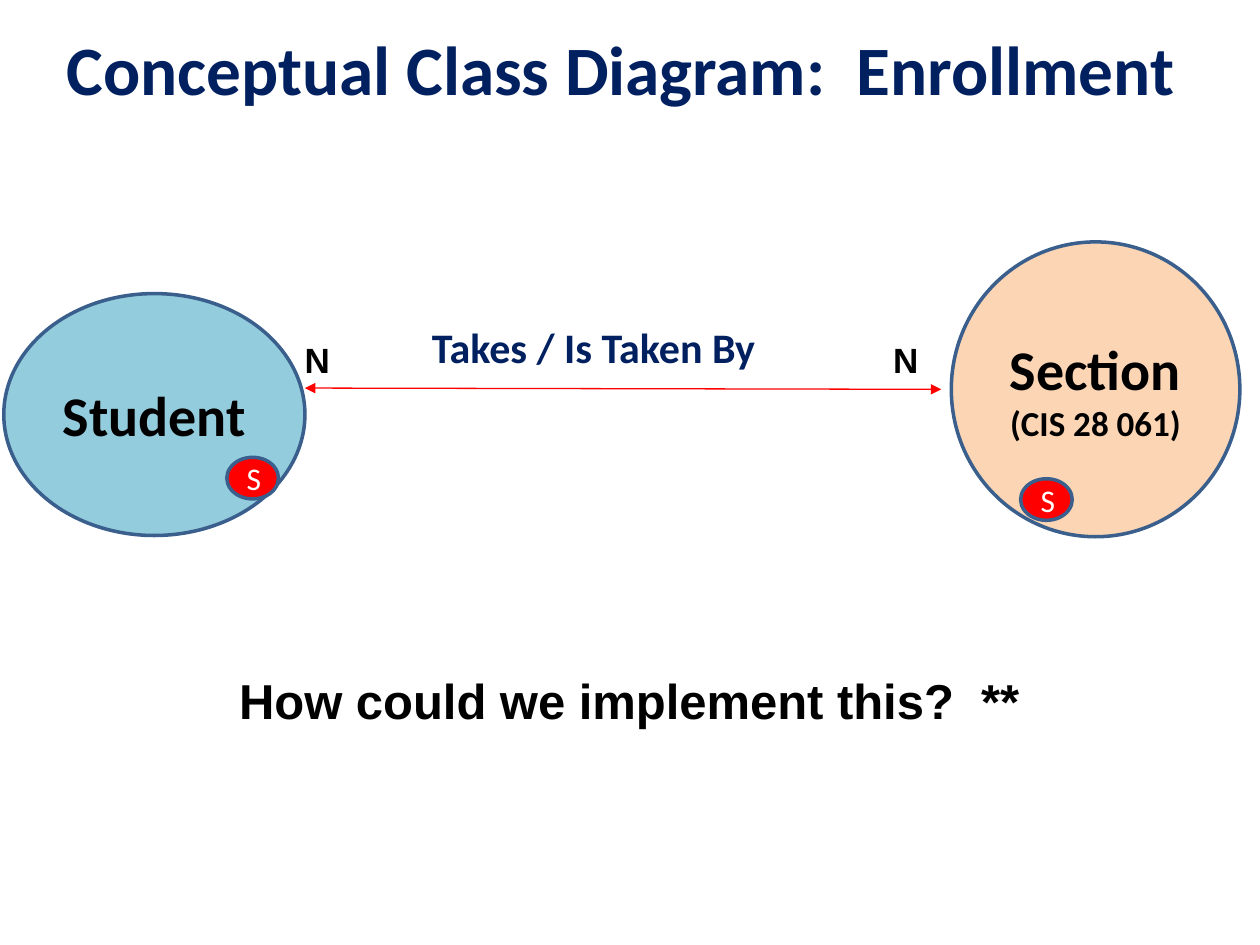
from lxml import etree
from pptx import Presentation
from pptx.dml.color import RGBColor
from pptx.enum.shapes import MSO_CONNECTOR, MSO_SHAPE
from pptx.enum.text import MSO_ANCHOR, PP_ALIGN
from pptx.oxml.ns import qn
from pptx.util import Inches, Pt

OVAL = MSO_SHAPE.OVAL
STRAIGHT = MSO_CONNECTOR.STRAIGHT
MIDDLE = MSO_ANCHOR.MIDDLE
LEFT, CENTER = PP_ALIGN.LEFT, PP_ALIGN.CENTER

NAVY, BLACK, WHITE, RED = "002060", "000000", "FFFFFF", "FF0000"
OUTLINE, BLUE, PEACH = "3A5F8C", "93CDDD", "FCD5B5"
HEADING, BODY = "Calibri", "Arial"


def color(value):
    return RGBColor.from_string(value)


class ClassDiagram:
    def __init__(self, page):
        self.page = page

    def format(self, paragraph, size, font, fill, bold=True, align=LEFT):
        paragraph.alignment = align
        for span in paragraph.runs:
            span.font.size = Pt(size)
            span.font.name = font
            span.font.bold = bold
            span.font.color.rgb = color(fill)

    def title(self, text, left, top, width, height):
        box = self.page.shapes.title
        box.left, box.top = Inches(left), Inches(top)
        box.width, box.height = Inches(width), Inches(height)
        box.text_frame.text = text
        box.text_frame.vertical_anchor = MIDDLE
        self.format(box.text_frame.paragraphs[0], 39.6, HEADING, NAVY, align=CENTER)

    def oval(self, lines, left, top, width, height, fill, ink=BLACK, bold=True):
        shape = self.page.shapes.add_shape(
            OVAL, Inches(left), Inches(top), Inches(width), Inches(height))
        shape.shadow.inherit = False
        shape.fill.solid()
        shape.fill.fore_color.rgb = color(fill)
        shape.line.color.rgb = color(OUTLINE)
        shape.line.width = Pt(2)
        frame = shape.text_frame
        frame.vertical_anchor = MIDDLE
        frame.text = "\n".join(text for text, size in lines)
        for paragraph, (text, size) in zip(frame.paragraphs, lines):
            self.format(paragraph, size, HEADING, ink, bold, CENTER)

    def badge(self, left, top):
        self.oval([("S", 18)], left, top, 0.41, 0.33, RED, WHITE, False)

    def label(self, text, left, top, width, height, size, font, fill, tab=None):
        box = self.page.shapes.add_textbox(
            Inches(left), Inches(top), Inches(width), Inches(height))
        box.text_frame.word_wrap = True
        box.text_frame.text = text
        paragraph = box.text_frame.paragraphs[0]
        if tab:
            properties = paragraph._p.get_or_add_pPr()
            stops = etree.SubElement(properties, qn("a:tabLst"))
            etree.SubElement(stops, qn("a:tab"), pos=str(Inches(tab)), algn="l")
        self.format(paragraph, size, font, fill)

    def arrow(self, start, end):
        connector = self.page.shapes.add_connector(
            STRAIGHT, *(Inches(value) for value in (*start, *end)))
        connector.line.color.rgb = color(RED)
        connector.line.width = Pt(0.75)
        line = connector.line._get_or_add_ln()
        for tag in ("a:headEnd", "a:tailEnd"):
            etree.SubElement(line, qn(tag), type="triangle")
        etree.SubElement(connector._element.spPr, qn("a:effectLst"))


def main():
    deck = Presentation()
    deck.slide_width, deck.slide_height = Inches(10), Inches(7.5)
    diagram = ClassDiagram(deck.slides.add_slide(deck.slide_layouts[5]))

    diagram.title("Conceptual Class Diagram:  Enrollment", 0.03, 0.06, 9.8, 0.95)
    diagram.oval([("Student", 32)], 0.03, 2.33, 2.39, 1.92, BLUE)
    diagram.oval([("Section", 32), ("(CIS 28 061)", 20)], 7.55, 1.92, 2.29, 2.34, PEACH)
    diagram.badge(8.1, 3.8)
    diagram.badge(1.8, 3.63)
    diagram.label("N\tN", 2.32, 2.64, 5.14, 0.44, 20, BODY, BLACK, tab=4.67)
    diagram.arrow((2.42, 3.08), (7.47, 3.09))
    diagram.label("How could we implement this?  **", 1.8, 5.27, 7.87, 0.57, 28, BODY, BLACK)
    diagram.label("Takes / Is Taken By", 3.33, 2.5, 3.25, 0.5, 24, HEADING, NAVY)

    deck.save("out.pptx")


if __name__ == "__main__":
    main()
